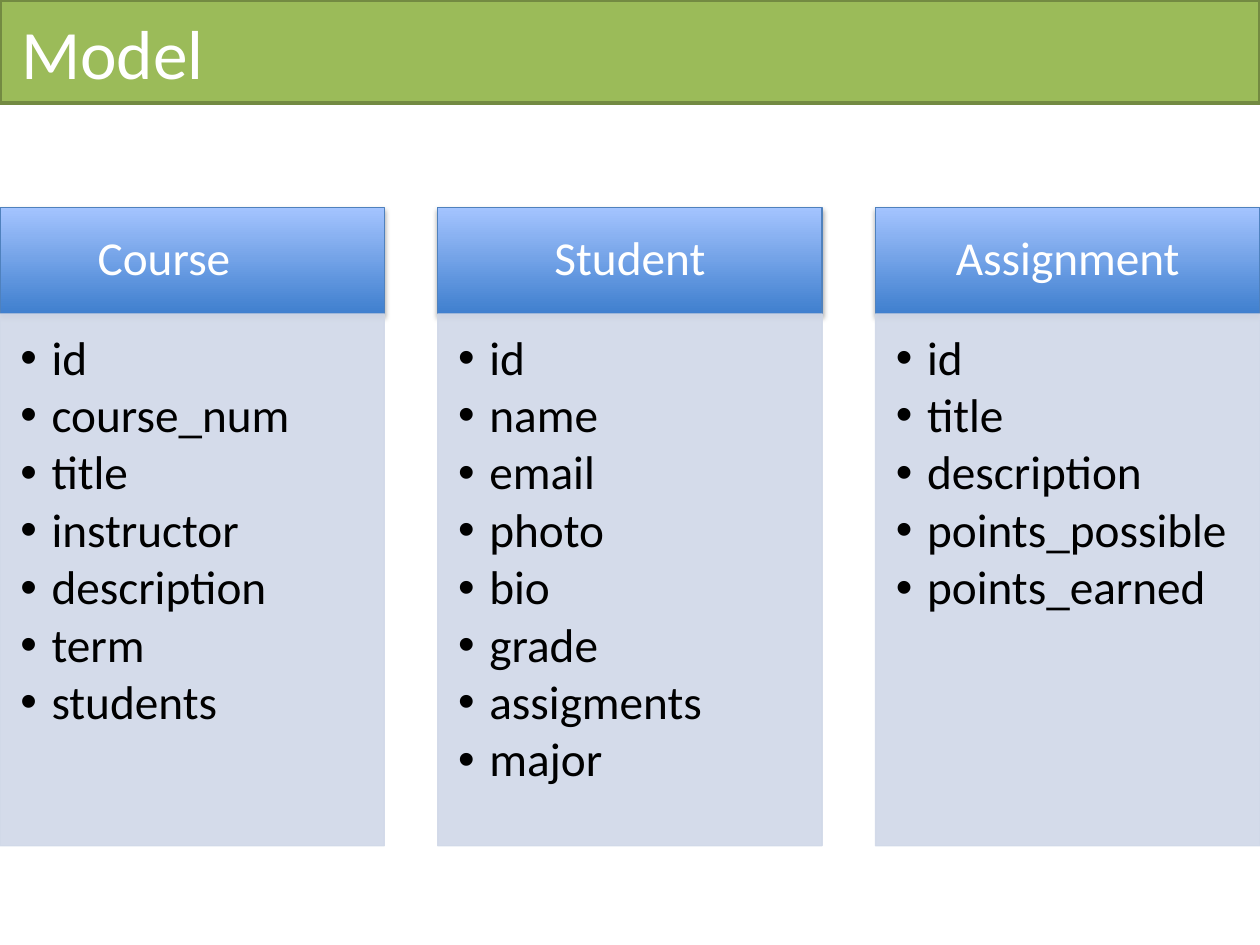
from lxml.etree import SubElement as Sub
from pptx import Presentation
from pptx.dml.color import RGBColor as RGB
from pptx.enum.shapes import MSO_SHAPE as Kind
from pptx.enum.text import MSO_ANCHOR as Anchor, PP_ALIGN as Align
from pptx.oxml.ns import qn
from pptx.util import Cm, Pt


def paint(part, color):
    part.solid()
    part.fore_color.rgb = RGB.from_string(color)


def write(para, text, size, color):
    run = para.add_run()
    run.text = text
    run.font.name = "Calibri"
    run.font.size = Pt(size)
    paint(run.font.fill, color)


deck = Presentation()
deck.slide_width, deck.slide_height = Cm(25.4), Cm(19.05)
slide = deck.slides.add_slide(deck.slide_layouts[6])
shapes = slide.shapes

# Models and their fields
models = {
    "Course\t": ["id", "course_num", "title", "instructor", "description",
                 "term", "students"],
    "Student": ["id", "name", "email", "photo", "bio", "grade",
                "assigments", "major"],
    "Assignment": ["id", "title", "description", "points_possible",
                   "points_earned"],
}
width = 7.75
step = (25.4 - width) / 2
top, mid, tall = 4.18, 6.33, 10.72

for col, (name, fields) in enumerate(models.items()):
    left = Cm(col * step)

    # Header with gradient and soft shadow
    head = shapes.add_shape(Kind.RECTANGLE, left, Cm(top), Cm(width), Cm(mid - top))
    head.fill.gradient()
    head.fill.gradient_angle = 90
    for stop, color in zip(head.fill.gradient_stops, ["3F7FCE", "A4C4FF"]):
        stop.color.rgb = RGB.from_string(color)
    paint(head.line.fill, "4F81BD")
    head.line.width = Pt(0.75)
    head.shadow.inherit = False
    glow = Sub(head._element.spPr.find(qn("a:effectLst")), qn("a:outerShdw"),
               blurRad=str(Pt(3.1)), dist=str(Pt(1.8)), dir="5400000", rotWithShape="0")
    shade = Sub(glow, qn("a:srgbClr"), val="000000")
    Sub(shade, qn("a:alpha"), val="35000")
    frame = head.text_frame
    frame.word_wrap = True
    frame.vertical_anchor = Anchor.MIDDLE
    frame.margin_left = frame.margin_right = Cm(0.53)
    frame.margin_top = frame.margin_bottom = Cm(0.3)
    para = frame.paragraphs[0]
    para.alignment = Align.CENTER
    para.line_spacing = 0.9
    write(para, name, 27, "FFFFFF")

    # Body with the field list
    body = shapes.add_shape(Kind.RECTANGLE, left, Cm(mid), Cm(width), Cm(tall))
    body.shadow.inherit = False
    paint(body.fill, "D0D8E8")
    paint(body.line.fill, "D0D8E8")
    body.line.width = Pt(0.75)
    for tone in body._element.spPr.iter(qn("a:srgbClr")):
        Sub(tone, qn("a:alpha"), val="90000")
    frame = body.text_frame
    frame.word_wrap = True
    frame.vertical_anchor = Anchor.TOP
    frame.margin_left = frame.margin_top = Cm(0.41)
    frame.margin_right, frame.margin_bottom = Cm(0.53), Cm(0.61)
    for row, field in enumerate(fields):
        para = frame.add_paragraph() if row else frame.paragraphs[0]
        props = para._p.get_or_add_pPr()
        props.set("marL", str(Cm(0.63)))
        props.set("indent", str(-Cm(0.63)))
        Sub(props, qn("a:buFont"), typeface="Arial")
        Sub(props, qn("a:buChar"), char="•")
        para.alignment = Align.LEFT
        para.line_spacing = 0.9
        para.space_after = Pt(3.6)
        write(para, field, 27, "000000")

# Title bar
bar = shapes.add_shape(Kind.RECTANGLE, 0, 0, Cm(25.4), Cm(2.08))
bar.shadow.inherit = False
paint(bar.fill, "9BBB59")
paint(bar.line.fill, "738A42")
bar.line.width = Pt(2)

title = shapes.add_textbox(Cm(0.18), 0, Cm(22.86), Cm(2.08))
frame = title.text_frame
frame.word_wrap = True
frame.vertical_anchor = Anchor.MIDDLE
write(frame.paragraphs[0], "Model\t", 39.6, "FFFFFF")

deck.save("out.pptx")
